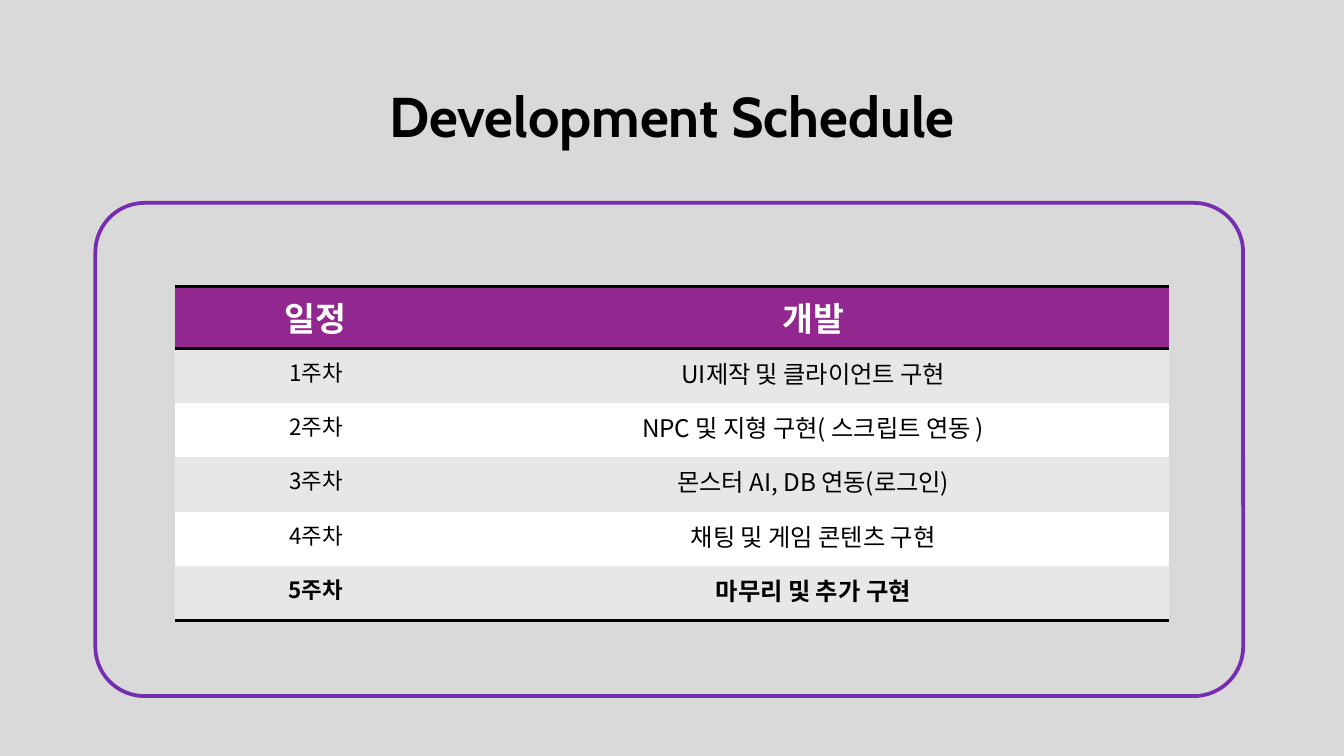
"""Build a one-slide development schedule."""
from lxml.etree import SubElement as Sub
from pptx import Presentation
from pptx.dml.color import RGBColor
from pptx.enum.shapes import MSO_SHAPE as Shape
from pptx.enum.text import MSO_ANCHOR as Anchor, PP_ALIGN as Align
from pptx.oxml import parse_xml
from pptx.oxml.ns import nsdecls, qn
from pptx.util import Inches, Pt

BLACK = RGBColor(0x00, 0x00, 0x00)
WHITE = RGBColor(0xFF, 0xFF, 0xFF)
GREY = RGBColor(0xD9, 0xD9, 0xD9)
PALE = RGBColor(0xE7, 0xE7, 0xE7)
PLUM = RGBColor(0x92, 0x27, 0x8F)
VIOLET = RGBColor(0x76, 0x2E, 0xB1)
LATIN, KOREAN = "Cabin", "Noto Sans CJK KR"
PLAIN = "{2D5ABB26-0587-4C30-8999-92F81FD0307C}"

HEAD = ("일정", "개발")
TASKS = (
    "UI제작 및 클라이언트 구현",
    "NPC 및 지형 구현( 스크립트 연동 )",
    "몬스터 AI, DB 연동(로그인)",
    "채팅 및 게임 콘텐츠 구현",
    "마무리 및 추가 구현",
)


def add_run(para, text, size, face, color, bold):
    """Add one centred run in the given style."""
    para.alignment = Align.CENTER
    run = para.add_run()
    run.text = text
    font = run.font
    font.size, font.name, font.bold = Pt(size), face, bold
    font.color.rgb = color
    Sub(run._r.get_or_add_rPr(), qn("a:ea"), typeface=face)


def add_title(slide, text):
    """Fill and place the title."""
    title = slide.shapes.title
    title.left, title.top = Inches(0.69), Inches(0.6)
    title.width, title.height = Inches(8.62), Inches(0.51)
    frame = title.text_frame
    frame.margin_top, frame.margin_bottom = Inches(0.06), 0
    frame.vertical_anchor = Anchor.MIDDLE
    para = frame.paragraphs[0]
    para.line_spacing = 0.9
    add_run(para, text, 30, LATIN, BLACK, True)


def add_frame(slide):
    """Draw the rounded outline."""
    box = slide.shapes.add_shape(
        Shape.ROUNDED_RECTANGLE,
        Inches(0.71), Inches(1.51), Inches(8.54), Inches(3.67))
    box.adjustments[0] = 0.1
    box.shadow.inherit = False
    box.fill.background()
    box.line.color.rgb = VIOLET
    box.line.width = Pt(2)


def add_rule(cell, side):
    """Put a black border on one side of a cell."""
    cell._tc.get_or_add_tcPr().insert(0, parse_xml(
        f'<a:{side} {nsdecls("a")} w="{Pt(2)}"><a:solidFill>'
        f'<a:srgbClr val="{BLACK}"/></a:solidFill></a:{side}>'))


def add_grid(slide):
    """Build the table of weeks and tasks."""
    rows = [HEAD] + [(f"{n}주차", task) for n, task in enumerate(TASKS, 1)]
    last = len(rows) - 1
    shape = slide.shapes.add_table(
        len(rows), 2, Inches(1.3), Inches(2.13), Inches(7.4), Inches(2.43))
    grid = shape.table
    grid._tbl.tblPr.find(qn("a:tableStyleId")).text = PLAIN
    for col, width in zip(grid.columns, (2.1, 5.3)):
        col.width = Inches(width)
    for r, row in enumerate(rows):
        fill = PLUM if r == 0 else PALE if r % 2 else WHITE
        color = BLACK if r else WHITE
        sizes = (12, 13) if r else (18, 18)
        for c, text in enumerate(row):
            cell = grid.cell(r, c)
            cell.fill.solid()
            cell.fill.fore_color.rgb = fill
            add_run(cell.text_frame.paragraphs[0], text, sizes[c],
                    KOREAN, color, r in (0, last))
            if r in (0, last):
                add_rule(cell, "lnB")
            if r == 0:
                add_rule(cell, "lnT")


def main():
    """Make the slide and save it."""
    deck = Presentation()
    deck.slide_width = Inches(10)
    deck.slide_height = deck.slide_width * 9 // 16
    slide = deck.slides.add_slide(deck.slide_layouts[5])
    back = slide.background.fill
    back.solid()
    back.fore_color.rgb = GREY
    add_title(slide, "Development Schedule")
    add_frame(slide)
    add_grid(slide)
    deck.save("out.pptx")


if __name__ == "__main__":
    main()
